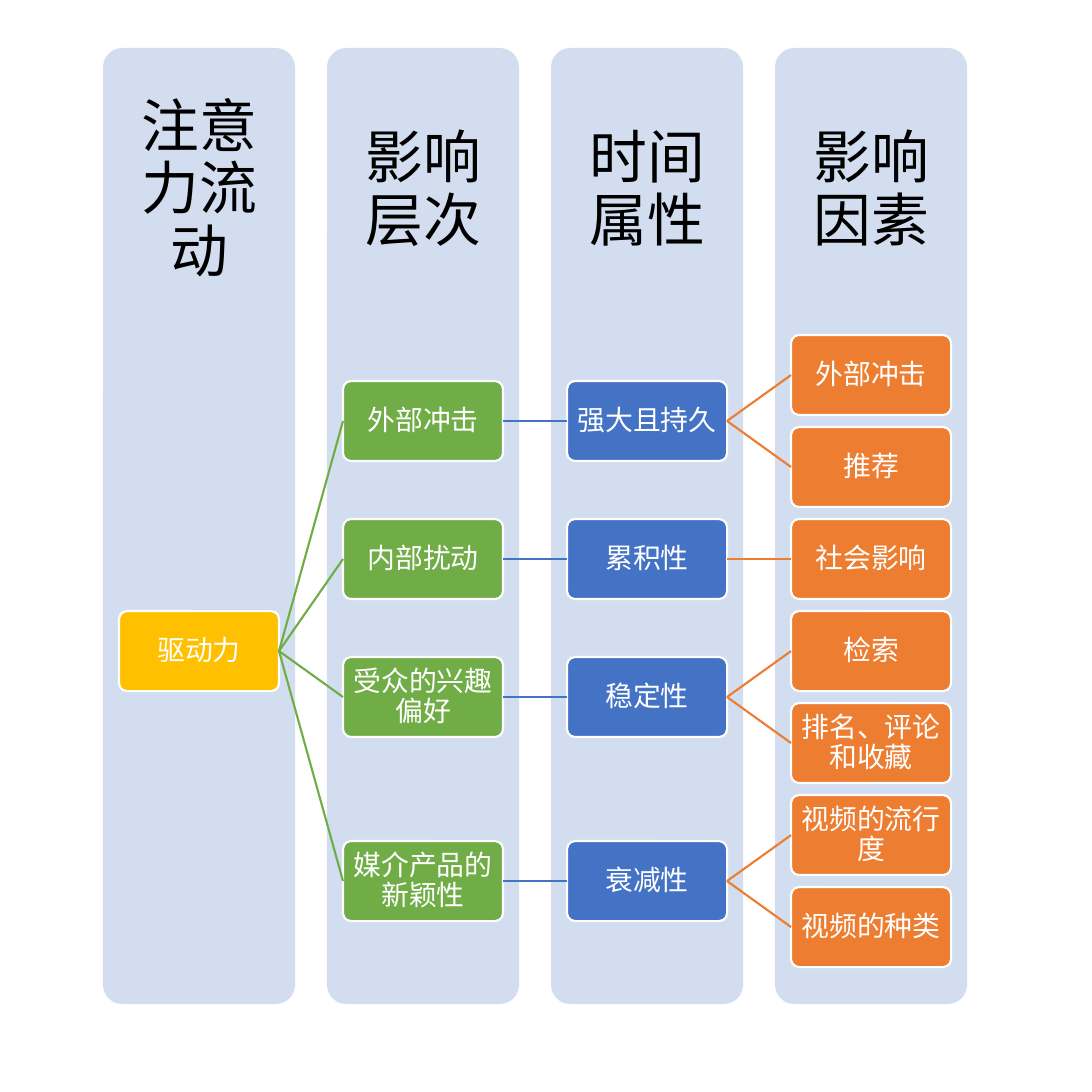
from lxml.etree import SubElement
from pptx import Presentation
from pptx.dml.color import RGBColor
from pptx.enum.shapes import MSO_CONNECTOR as CONNECTOR, MSO_SHAPE as SHAPE
from pptx.enum.text import MSO_ANCHOR as ANCHOR, PP_ALIGN as ALIGN
from pptx.oxml.ns import qn
from pptx.util import Inches, Pt

SCALE = Inches(1) / 154
FONT = "Noto Sans CJK SC"
COLORS = {
    "band": "D2DEEF", "white": "FFFFFF", "black": "000000",
    "yellow": "FFC000", "green": "70AD47", "blue": "4472C4", "orange": "ED7D31",
}
LEVEL_COLORS = ["yellow", "green", "blue", "orange"]
HEADINGS = ["注意力流动", "影响层次", "时间属性", "影响因素"]
TREE = ("驱动力", [
    ("外部冲击", [("强大且持久", [("外部冲击", []), ("推荐", [])])]),
    ("内部扰动", [("累积性", [("社会影响", [])])]),
    ("受众的兴趣偏好", [("稳定性", [("检索", []), ("排名、评论和收藏", [])])]),
    ("媒介产品的新颖性", [("衰减性", [("视频的流行度", []), ("视频的种类", [])])]),
])

BAND_LEFT, BAND_TOP, BAND_WIDTH, BAND_HEIGHT = 103, 48, 192, 956
COLUMN_STEP, HEADING_HEIGHT, HEADING_INSET = 224, 286, 32
NODE_WIDTH, NODE_HEIGHT, NODE_INSET = 160, 80, 2
FIRST_ROW, ROW_STEP = 375, 92
LEFT_SITE, RIGHT_SITE = 1, 3


def px(length):
    return round(length * SCALE)


def color(name):
    return RGBColor.from_string(COLORS[name])


def column_left(level):
    return BAND_LEFT + level * COLUMN_STEP


def set_text(shape, text, *, size, fill, inset):
    frame = shape.text_frame
    frame.word_wrap = True
    frame.vertical_anchor = ANCHOR.MIDDLE
    frame.margin_left = frame.margin_right = px(inset)
    frame.margin_top = frame.margin_bottom = px(inset)
    paragraph = frame.paragraphs[0]
    paragraph.alignment = ALIGN.CENTER
    paragraph.line_spacing = 0.9
    run = paragraph.add_run()
    run.text = text
    run.font.size = Pt(size)
    run.font.name = FONT
    run.font.color.rgb = color(fill)
    SubElement(run.font._element, qn("a:ea"), typeface=FONT)


def add_rounded(slide, left, top, width, height, fill):
    shape = slide.shapes.add_shape(
        SHAPE.ROUNDED_RECTANGLE, px(left), px(top), px(width), px(height))
    shape.adjustments[0] = 0.1
    shape.shadow.inherit = False
    shape.fill.solid()
    shape.fill.fore_color.rgb = color(fill)
    shape.line.fill.background()
    return shape


def add_band(slide, level, heading):
    left = column_left(level)
    add_rounded(slide, left, BAND_TOP, BAND_WIDTH, BAND_HEIGHT, "band")
    box = slide.shapes.add_textbox(
        px(left), px(BAND_TOP), px(BAND_WIDTH), px(HEADING_HEIGHT))
    set_text(box, heading, size=27, fill="black", inset=HEADING_INSET)


def add_node(slide, text, level, middle):
    left = column_left(level) + (BAND_WIDTH - NODE_WIDTH) // 2
    node = add_rounded(slide, left, middle - NODE_HEIGHT // 2,
                       NODE_WIDTH, NODE_HEIGHT, LEVEL_COLORS[level])
    node.line.color.rgb = color("white")
    node.line.width = Pt(1)
    set_text(node, text, size=13, fill="white", inset=NODE_INSET)
    return node


def add_link(slide, parent, child, fill):
    link = slide.shapes.add_connector(CONNECTOR.STRAIGHT, 0, 0, 0, 0)
    link.begin_connect(parent, RIGHT_SITE)
    link.end_connect(child, LEFT_SITE)
    link.line.color.rgb = color(fill)
    link.line.width = Pt(1)
    SubElement(link._element.spPr, qn("a:effectLst"))


def add_branch(slide, branch, leaf_rows, level=0):
    """Draw a branch with its parent midway between its outer children."""
    text, children = branch
    nodes = []
    middles = []
    for child in children:
        node, middle = add_branch(slide, child, leaf_rows, level + 1)
        nodes.append(node)
        middles.append(middle)
    middle = (middles[0] + middles[-1]) // 2 if middles else next(leaf_rows)
    parent = add_node(slide, text, level, middle)
    for node in nodes:
        add_link(slide, parent, node, LEVEL_COLORS[level + 1])
    return parent, middle


def main():
    presentation = Presentation()
    presentation.slide_width = presentation.slide_height = Inches(7.09)
    slide = presentation.slides.add_slide(presentation.slide_layouts[6])
    for level, heading in enumerate(HEADINGS):
        add_band(slide, level, heading)
    leaf_rows = iter(range(FIRST_ROW, BAND_TOP + BAND_HEIGHT, ROW_STEP))
    add_branch(slide, TREE, leaf_rows)
    presentation.save("out.pptx")


main()
